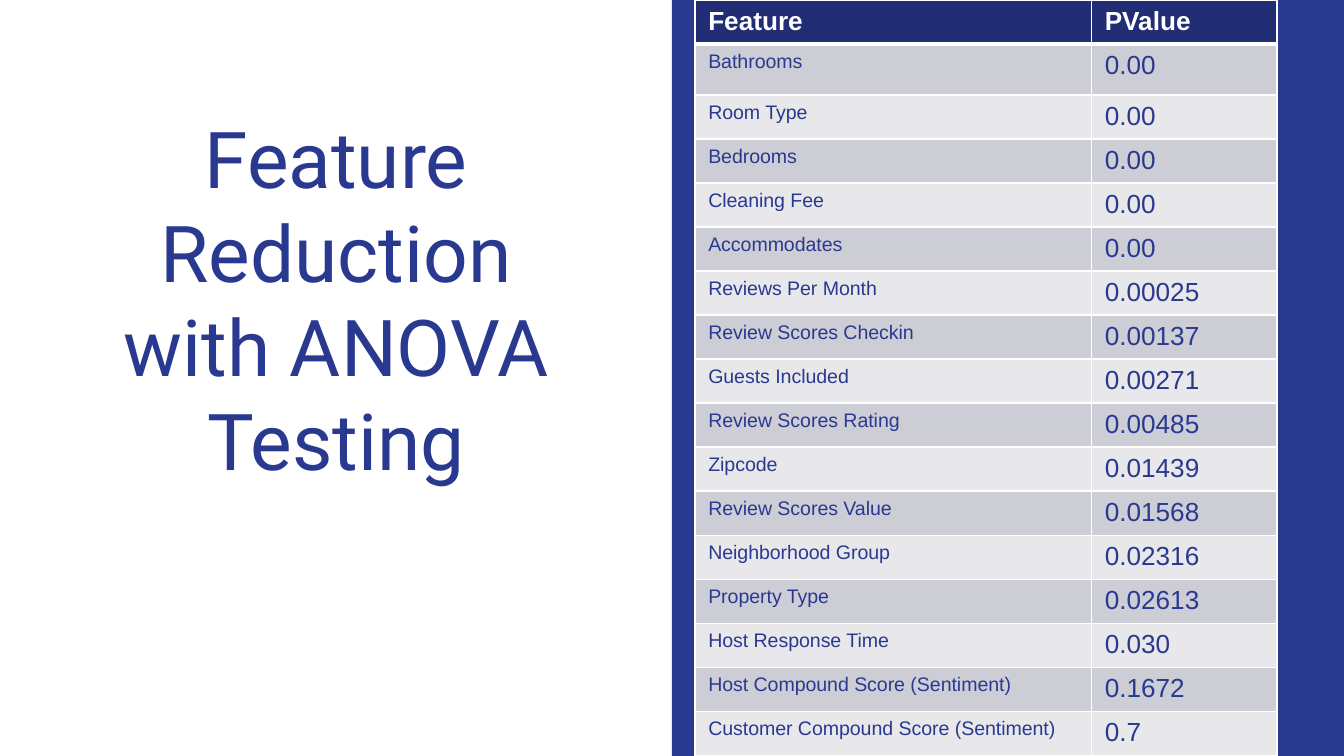
import pptx
import pptx.util
import pptx.dml.color
import pptx.enum.shapes
import pptx.enum.text
import pptx.oxml.ns
import lxml.etree

Inches = pptx.util.Inches

TITLE = "Feature Reduction\vwith ANOVA Testing"
HEAD = ("Feature", "PValue")
ROWS = [
    ("Bathrooms", "0.00"),
    ("Room Type", "0.00"),
    ("Bedrooms", "0.00"),
    ("Cleaning Fee", "0.00"),
    ("Accommodates", "0.00"),
    ("Reviews Per Month", "0.00025"),
    ("Review Scores Checkin", "0.00137"),
    ("Guests Included", "0.00271"),
    ("Review Scores Rating", "0.00485"),
    ("Zipcode", "0.01439"),
    ("Review Scores Value", "0.01568"),
    ("Neighborhood Group", "0.02316"),
    ("Property Type", "0.02613"),
    ("Host Response Time", "0.030"),
    ("Host Compound Score (Sentiment)", "0.1672"),
    ("Customer Compound Score (Sentiment)", "0.7"),
]
THEME = {
    "blue": "2A3990", "navy": "212D74", "white": "FFFFFF",
    "bands": ("CDCDD6", "E8E8EB"),
    "title": 42, "large": 14, "small": 10.5,
    "display": "Roboto", "body": "Arial",
}
WIDE = 10
HIGH = WIDE * 9 / 16
COLS = (2.95, 1.38)
TALL = 0.38


def tint(fill, color):
    fill.solid()
    fill.fore_color.rgb = pptx.dml.color.RGBColor.from_string(color)


def write(frame, text, size, color, font=THEME["body"], bold=False, align=None):
    frame.paragraphs[0].text = text
    for para in frame.paragraphs:
        para.alignment = align
        for run in para.runs:
            run.font.size = pptx.util.Pt(size)
            run.font.name = font
            run.font.bold = bold
            tint(run.font.fill, color)


def edge(cell, side, width):
    qn = pptx.oxml.ns.qn
    props = cell._tc.get_or_add_tcPr()
    line = lxml.etree.SubElement(props, qn("a:ln" + side), w=str(pptx.util.Pt(width)))
    fill = lxml.etree.SubElement(line, qn("a:solidFill"))
    lxml.etree.SubElement(fill, qn("a:srgbClr"), val=THEME["white"])


def add_panel(slide):
    panel = slide.shapes.add_shape(
        pptx.enum.shapes.MSO_SHAPE.RECTANGLE,
        Inches(WIDE / 2), 0, Inches(WIDE / 2), Inches(HIGH))
    panel.shadow.inherit = False
    tint(panel.fill, THEME["blue"])
    panel.line.fill.background()


def add_title(slide):
    title = slide.shapes.title
    title.left, title.top = Inches(0.29), Inches(2.01)
    title.width, title.height = Inches(4.42), Inches(1.71)
    frame = title.text_frame
    frame.word_wrap = True
    frame.auto_size = pptx.enum.text.MSO_AUTO_SIZE.NONE
    frame.vertical_anchor = pptx.enum.text.MSO_ANCHOR.BOTTOM
    frame.margin_left = frame.margin_right = Inches(0.1)
    frame.margin_top = frame.margin_bottom = Inches(0.1)
    write(frame, TITLE, THEME["title"], THEME["blue"], font=THEME["display"],
          align=pptx.enum.text.PP_ALIGN.CENTER)


def add_table(slide):
    data = [HEAD] + ROWS
    table = slide.shapes.add_table(
        len(data), len(COLS), Inches(5.17), 0, Inches(sum(COLS)), Inches(HIGH)).table
    for col, width in zip(table.columns, COLS):
        col.width = Inches(width)
    for num, pair in enumerate(data):
        top = num == 0
        table.rows[num].height = Inches(TALL if num == 1 else (HIGH - TALL) / len(ROWS))
        for col, text in enumerate(pair):
            cell = table.cell(num, col)
            for side in "LRTB":
                thick = (num, side) in ((0, "B"), (1, "T"))
                edge(cell, side, 3 if thick else 1)
            tint(cell.fill, THEME["navy"] if top else THEME["bands"][(num - 1) % 2])
            write(cell.text_frame, text,
                  THEME["large"] if top or col else THEME["small"],
                  THEME["white"] if top else THEME["blue"], bold=top)


def main():
    deck = pptx.Presentation()
    deck.slide_width, deck.slide_height = Inches(WIDE), Inches(HIGH)
    slide = deck.slides.add_slide(deck.slide_layouts[5])
    tint(slide.background.fill, THEME["white"])
    add_panel(slide)
    add_title(slide)
    add_table(slide)
    deck.save("out.pptx")


if __name__ == "__main__":
    main()
